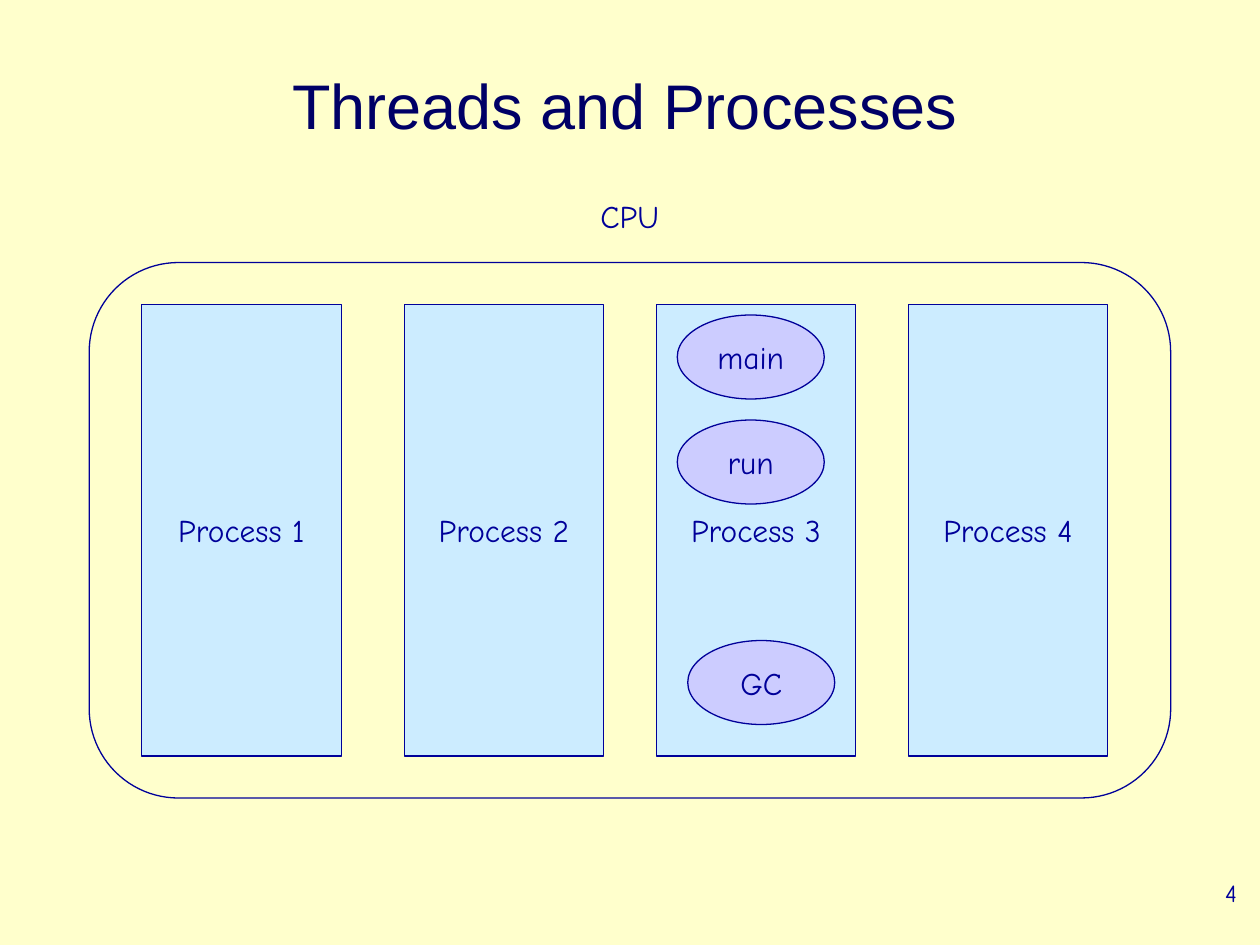
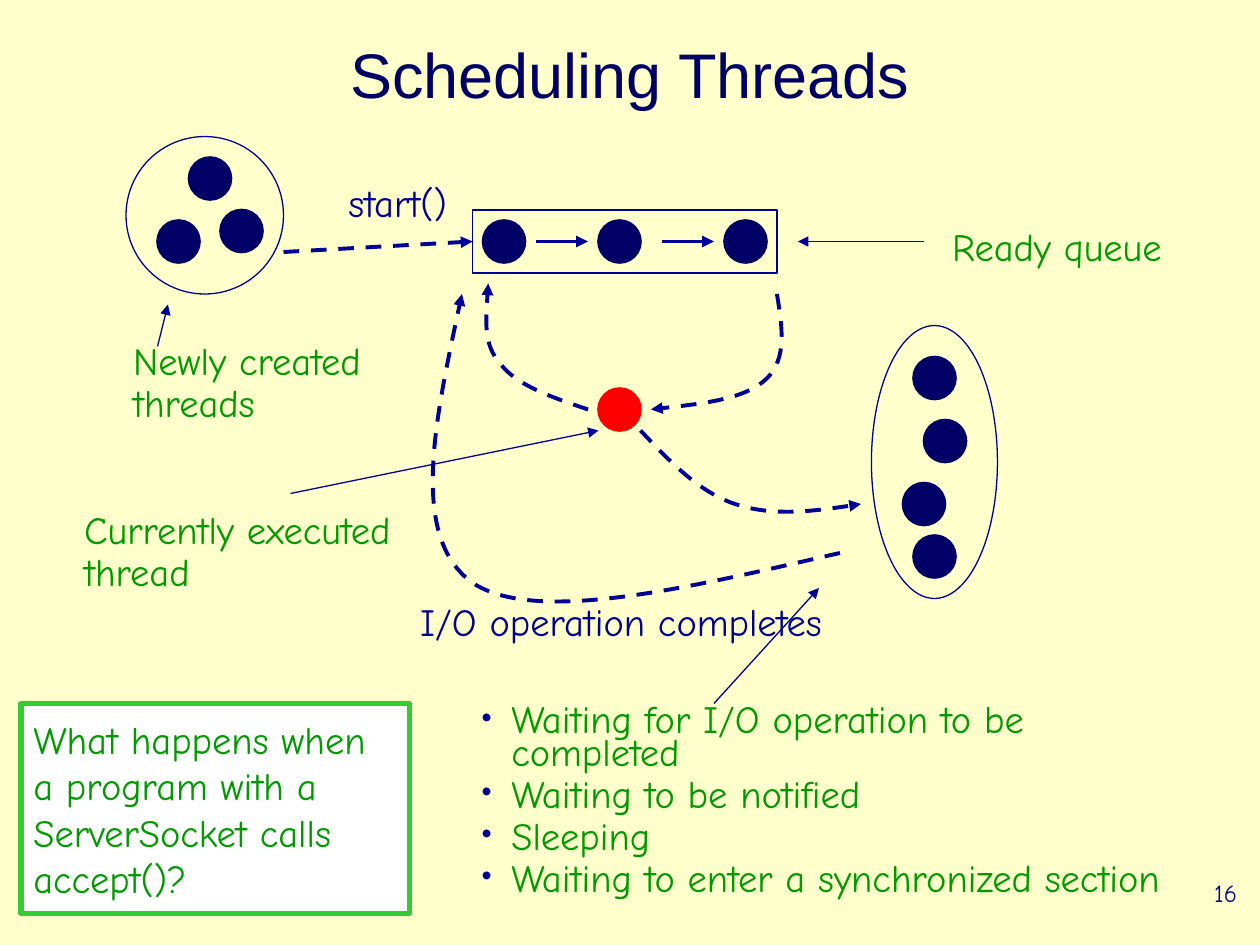
from dataclasses import dataclass
from typing import NamedTuple

from pptx import Presentation
from pptx.dml.color import RGBColor
from pptx.enum import dml, shapes, text
from pptx.oxml import ns, xmlchemy
from pptx.util import Pt


@dataclass(frozen=True)
class Theme:
    paper: str = "FFFFCC"
    ink: str = "000099"
    navy: str = "000066"
    green: str = "009900"
    frame_green: str = "33CC33"
    process: str = "CCECFF"
    thread: str = "CCCCFF"
    running: str = "FF0000"
    white: str = "FFFFFF"
    title_font: str = "Arial"
    body_font: str = "Comic Neue"
    title_size: float = 36
    note_size: float = 22
    label_size: float = 18
    number_size: float = 14
    thin: float = 0.75
    dot_line: float = 1.5
    thick: float = 2.25
    frame_line: float = 3


THEME = Theme()
KIND = shapes.MSO_SHAPE
ALIGN = text.PP_ALIGN
DOT = 24


class Box(NamedTuple):
    left: float
    top: float
    width: float
    height: float


class Style(NamedTuple):
    size: float
    color: str = THEME.ink
    align: text.PP_ALIGN = ALIGN.LEFT
    font: str = THEME.body_font
    spacing: float = 1.0
    before: float = 0


TITLE = Style(THEME.title_size, THEME.navy, ALIGN.CENTER, THEME.title_font, 0.85)
LABEL = Style(THEME.label_size)
CENTERED = Style(THEME.label_size, align=ALIGN.CENTER)
NUMBER = Style(THEME.number_size, align=ALIGN.RIGHT)
STEP = Style(THEME.note_size, spacing=0.7, before=5.5)
NOTE = STEP._replace(color=THEME.green)
QUESTION = Style(THEME.note_size, THEME.green)


@dataclass(frozen=True)
class Block:
    box: Box
    kind: shapes.MSO_SHAPE
    fill: str = THEME.paper
    line: str = THEME.ink
    weight: float = THEME.thin
    words: str = ""
    style: Style = CENTERED


@dataclass(frozen=True)
class Label:
    box: Box
    words: str
    style: Style = NOTE
    wrap: bool = False


@dataclass(frozen=True)
class Arrow:
    start: tuple[float, float]
    end: tuple[float, float]
    weight: float = THEME.thin
    dashed: bool = False


def points(values) -> list:
    return [Pt(value) for value in values]


def rgb(color: str) -> RGBColor:
    return RGBColor.from_string(color)


def place(holder, box: Box) -> None:
    holder.left, holder.top, holder.width, holder.height = points(box)


def write(frame, words: str, style: Style) -> None:
    frame.text = words
    for paragraph in frame.paragraphs:
        paragraph.alignment = style.align
        paragraph.line_spacing = style.spacing
        paragraph.space_before = Pt(style.before)
        for run in paragraph.runs:
            run.font.name = style.font
            run.font.size = Pt(style.size)
            run.font.color.rgb = rgb(style.color)


def add_child(parent, tag: str, **attributes: str):
    child = xmlchemy.OxmlElement(tag)
    for key, value in attributes.items():
        child.set(key, value)
    parent.append(child)
    return child


def draw_block(slide, block: Block) -> None:
    shape = slide.shapes.add_shape(block.kind, *points(block.box))
    shape.shadow.inherit = False
    shape.fill.solid()
    shape.fill.fore_color.rgb = rgb(block.fill)
    shape.line.color.rgb = rgb(block.line)
    shape.line.width = Pt(block.weight)
    if block.words:
        shape.text_frame.word_wrap = False
        shape.text_frame.vertical_anchor = text.MSO_ANCHOR.MIDDLE
        write(shape.text_frame, block.words, block.style)


def draw_label(slide, label: Label) -> None:
    frame = slide.shapes.add_textbox(*points(label.box)).text_frame
    frame.word_wrap = label.wrap
    if not label.wrap:
        frame.auto_size = text.MSO_AUTO_SIZE.SHAPE_TO_FIT_TEXT
    write(frame, label.words, label.style)


def draw_dot(slide, left: float, top: float, color: str = THEME.navy) -> None:
    draw_block(slide, Block(Box(left, top, DOT, DOT), KIND.OVAL, color, color, THEME.dot_line))


def finish_arrow(stroke, weight: float, dashed: bool) -> None:
    stroke.line.color.rgb = rgb(THEME.ink)
    stroke.line.width = Pt(weight)
    if dashed:
        stroke.line.dash_style = dml.MSO_LINE.DASH
    properties = stroke._element.spPr
    add_child(properties.find(ns.qn("a:ln")), "a:tailEnd", type="triangle")
    add_child(properties, "a:effectLst")


def draw_arrow(slide, arrow: Arrow) -> None:
    stroke = slide.shapes.add_connector(
        shapes.MSO_CONNECTOR.STRAIGHT, *points(arrow.start + arrow.end))
    finish_arrow(stroke, arrow.weight, arrow.dashed)


def draw_curve(slide, start: tuple[float, float], *controls: tuple[float, float]) -> None:
    builder = slide.shapes.build_freeform(*points(start))
    builder.add_line_segments([points(control) for control in controls], close=False)
    stroke = builder.convert_to_shape()
    stroke.fill.background()
    segments = list(stroke._element.iter(ns.qn("a:lnTo")))
    outline = segments[0].getparent()
    for first in range(0, len(segments), 3):
        bezier = add_child(outline, "a:cubicBezTo")
        for segment in segments[first:first + 3]:
            bezier.append(segment[0])
            outline.remove(segment)
    finish_arrow(stroke, THEME.thick, True)


def start_slide(deck, layout: int, title: str, title_box: Box, number: str):
    slide = deck.slides.add_slide(deck.slide_layouts[layout])
    place(slide.shapes.title, title_box)
    frame = slide.shapes.title.text_frame
    frame.vertical_anchor = text.MSO_ANCHOR.MIDDLE
    write(frame, title, TITLE)
    draw_label(slide, Label(Box(564, 498, 150, 36), number, NUMBER, True))
    return slide


def fill_list(holder, box: Box, items: list[str]) -> None:
    place(holder, box)
    frame = holder.text_frame
    write(frame, "\n".join(items), NOTE)
    frame.auto_size = text.MSO_AUTO_SIZE.SHAPE_TO_FIT_TEXT
    for paragraph in frame.paragraphs:
        properties = paragraph._p.get_or_add_pPr()
        properties.set("marL", str(Pt(17)))
        properties.set("indent", str(-Pt(17)))
        add_child(add_child(properties, "a:buClr"), "a:srgbClr", val=THEME.ink)
        add_child(properties, "a:buSzPct", val="75000")
        add_child(properties, "a:buChar", char="•")


def build_processes(deck) -> None:
    slide = start_slide(deck, 5, "Threads and Processes", Box(72, 30, 570, 66), "4")
    draw_label(slide, Label(Box(336, 109, 48, 29), "CPU", LABEL))
    draw_block(slide, Block(Box(51, 150, 618, 306), KIND.ROUNDED_RECTANGLE))
    for number, left in enumerate((81, 231, 375, 519), 1):
        draw_block(slide, Block(Box(left, 174, 114, 258), KIND.RECTANGLE,
                                THEME.process, words=f"Process {number}"))
    for thread, left, top in (("main", 387, 180), ("run", 387, 240), ("GC", 393, 366)):
        draw_block(slide, Block(Box(left, top, 84, 48), KIND.OVAL, THEME.thread, words=thread))


def build_scheduling(deck) -> None:
    slide = start_slide(deck, 1, "Scheduling Threads", Box(54, 0, 612, 90), "16")
    fill_list(slide.placeholders[1], Box(268, 401, 420, 98), [
        "Waiting for I/O operation to be completed",
        "Waiting to be notified",
        "Sleeping",
        "Waiting to enter a synchronized section",
    ])

    waiting_pool = Block(Box(498, 186, 72, 156), KIND.OVAL)
    ready_queue = Block(Box(270, 120, 174, 36), KIND.RECTANGLE)
    new_pool = Block(Box(72, 78, 90, 90), KIND.OVAL)
    for pool in (waiting_pool, ready_queue, new_pool):
        draw_block(slide, pool)

    new_threads = [(90, 126), (108, 90), (126, 120)]
    ready_threads = [(276, 126), (342, 126), (414, 126)]
    waiting_threads = [(522, 204), (528, 240), (516, 276), (522, 306)]
    for left, top in new_threads + ready_threads + waiting_threads:
        draw_dot(slide, left, top)
    draw_dot(slide, 342, 222, THEME.running)

    for arrow in (
        Arrow((306, 138), (336, 138), THEME.thick),
        Arrow((378, 138), (408, 138), THEME.thick),
        Arrow((162, 144), (270, 138), THEME.thick, True),
        Arrow((166, 282), (342, 246)),
        Arrow((528, 138), (456, 138)),
        Arrow((408, 402), (468, 336)),
        Arrow((90, 198), (96, 174)),
    ):
        draw_arrow(slide, arrow)

    ready_to_running = [(444, 168), (447, 186.5), (450, 205), (438, 216.5),
                        (426, 228), (399, 231), (372, 234)]
    running_to_waiting = [(366, 246), (382, 263), (399, 281), (420, 288),
                          (441, 295), (467, 292), (492, 288)]
    running_to_ready = [(336, 234), (315, 227), (295, 220), (286, 208),
                        (276, 197), (278, 179), (279, 162)]
    waiting_to_ready = [(480, 316), (393, 336), (306, 357), (270, 333),
                        (234, 307), (249, 238), (264, 168)]
    for route in (ready_to_running, running_to_waiting, running_to_ready, waiting_to_ready):
        draw_curve(slide, *route)

    for label in (
        Label(Box(233, 345.5, 245, 26), "I/O operation completes", STEP),
        Label(Box(192, 106, 71, 26), "start()", STEP),
        Label(Box(41, 293, 191.5, 50), "Currently executed\nthread"),
        Label(Box(537, 131, 135, 26), "Ready queue"),
        Label(Box(69, 196.5, 145.5, 50), "Newly created\nthreads"),
    ):
        draw_label(slide, label)

    draw_block(slide, Block(
        Box(12, 402, 222, 120), KIND.RECTANGLE, THEME.white, THEME.frame_green, THEME.frame_line,
        "What happens when\na program with a\nServerSocket calls\naccept()?", QUESTION))


def main() -> None:
    deck = Presentation()
    deck.slide_width, deck.slide_height = Pt(720), Pt(540)
    background = deck.slide_master.background.fill
    background.solid()
    background.fore_color.rgb = rgb(THEME.paper)
    build_processes(deck)
    build_scheduling(deck)
    deck.save("out.pptx")


if __name__ == "__main__":
    main()
